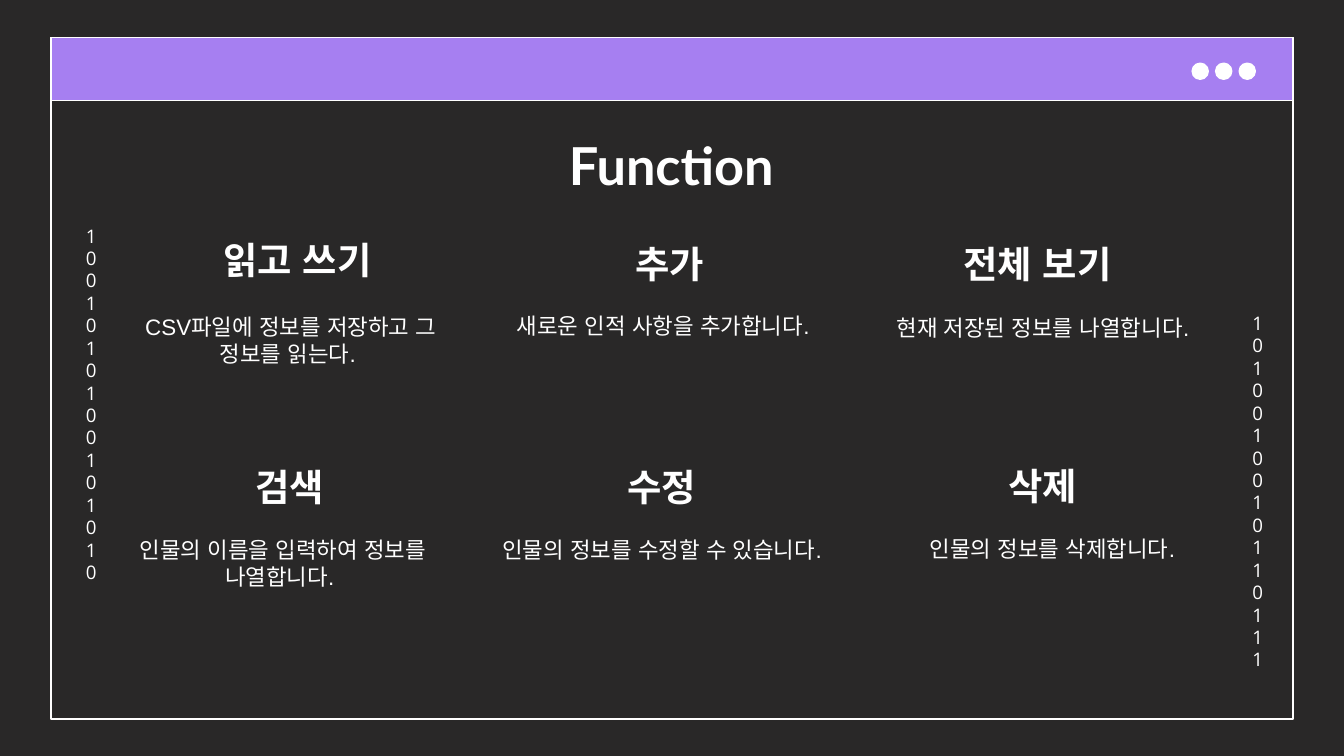
from lxml.etree import SubElement
from pptx import Presentation
from pptx.dml.color import RGBColor as Color
from pptx.enum.shapes import MSO_SHAPE as Shape
from pptx.enum.text import MSO_ANCHOR as Anchor, PP_ALIGN as Align
from pptx.oxml.ns import qn
from pptx.util import Inches, Pt

TITLE = "Function"
CARDS = [
    [("읽고 쓰기", (0.06, -0.03), "CSV파일에 정보를 저장하고 그 정보를 읽는다. ", (0.01, 0)),
     ("추가", (0.06, 0), "새로운 인적 사항을 추가합니다.", (0.01, -0.01)),
     ("전체 보기", (-0.04, 0), "현재 저장된 정보를 나열합니다.", (0, 0.01))],
    [("검색", (0, 0), "인물의 이름을 입력하여 정보를 나열합니다. ", (-0.05, 0)),
     ("수정", (0, 0), "인물의 정보를 수정할 수 있습니다.", (0, 0)),
     ("삭제", (0, -0.01), "인물의 정보를 삭제합니다.", (0.07, -0.01))],
]
DIGITS = [("1010010010110111", 9.22, 2.22), ("1001010100101010", 0.54, 1.57)]

THEME = {
    "background": Color.from_string("292828"),
    "accent": Color.from_string("A67FF1"),
    "ink": Color.from_string("FFFFFF"),
    "line": Pt(0.75),
    "title": {"name": "Lato", "size": Pt(28), "bold": True},
    "heading": {"name": "Arial", "size": Pt(20), "bold": True},
    "body": {"name": "Arial", "size": Pt(12), "bold": False},
    "digits": {"name": "Open Sans", "size": Pt(10), "bold": False},
}
WIDTH = 10
HEIGHT = WIDTH * 9 / 16
FRAME_LEFT, FRAME_TOP, BAR_HEIGHT = 0.38, 0.28, 0.47
FRAME_WIDTH, FRAME_HEIGHT = WIDTH - 2 * FRAME_LEFT, 5.07
DOT_LEFT, DOT_LAST, DOT_TOP, DOT_SIZE, DOT_COUNT = 8.87, 9.22, 0.47, 0.12, 3
DOT_STEP = (DOT_LAST - DOT_LEFT) / (DOT_COUNT - 1)
GRID_LEFT, GRID_TOP, COLUMN_STEP, ROW_STEP = 0.77, 1.73, 2.77, 1.66
COLUMN_WIDTHS = [2.77, 2.77, 2.9]
CARD_ROW = 0.5


def apply(target, values):
    for name, value in values.items():
        setattr(target, name, value)


def add_panel(slide, kind, box, fill=None):
    shape = slide.shapes.add_shape(kind, *map(Inches, box))
    shape.shadow.inherit = False
    if fill is None:
        shape.fill.background()
    else:
        shape.fill.solid()
        shape.fill.fore_color.rgb = fill
    shape.line.color.rgb = THEME["ink"]
    shape.line.width = THEME["line"]


def add_text(slide, text, box, style, anchor=Anchor.TOP):
    shape = slide.shapes.add_textbox(*map(Inches, box))
    if style != "digits":
        shape.fill.solid()
        shape.fill.fore_color.rgb = THEME["background"]
    frame = shape.text_frame
    margins = {f"margin_{side}": Inches(0.1) for side in ("left", "top", "right", "bottom")}
    apply(frame, {"word_wrap": True, "vertical_anchor": anchor, **margins})
    paragraph = frame.paragraphs[0]
    paragraph.alignment = Align.CENTER
    run = paragraph.add_run()
    run.text = text
    apply(run.font, THEME[style])
    run.font.color.rgb = THEME["ink"]
    for script in ("a:ea", "a:cs"):
        SubElement(run._r.get_or_add_rPr(), qn(script), typeface=THEME[style]["name"])


def add_window(slide):
    frame = (FRAME_LEFT, FRAME_TOP, FRAME_WIDTH)
    add_panel(slide, Shape.RECTANGLE, (*frame, FRAME_HEIGHT))
    add_panel(slide, Shape.RECTANGLE, (*frame, BAR_HEIGHT), THEME["accent"])
    for index in range(DOT_COUNT):
        dot = (DOT_LEFT + index * DOT_STEP, DOT_TOP, DOT_SIZE, DOT_SIZE)
        add_panel(slide, Shape.OVAL, dot, THEME["ink"])
    for digits, left, top in DIGITS:
        add_text(slide, digits, (left, top, 0.24, 2.8), "digits")


def add_cards(slide):
    for row, cards in enumerate(CARDS):
        for column, (heading, heading_shift, body, body_shift) in enumerate(cards):
            left = GRID_LEFT + column * COLUMN_STEP
            top = GRID_TOP + row * ROW_STEP
            parts = [(heading, heading_shift, top, "heading", Anchor.BOTTOM),
                     (body, body_shift, top + CARD_ROW, "body", Anchor.TOP)]
            for text, (dx, dy), part_top, style, anchor in parts:
                box = (left + dx, part_top + dy, COLUMN_WIDTHS[column], CARD_ROW)
                add_text(slide, text, box, style, anchor)


def main():
    presentation = Presentation()
    apply(presentation, {"slide_width": Inches(WIDTH), "slide_height": Inches(HEIGHT)})
    slide = presentation.slides.add_slide(presentation.slide_layouts[6])
    slide.background.fill.solid()
    slide.background.fill.fore_color.rgb = THEME["background"]
    add_window(slide)
    add_text(slide, TITLE, (0.78, 0.89, 8.43, 0.63), "title")
    add_cards(slide)
    presentation.save("out.pptx")


if __name__ == "__main__":
    main()
